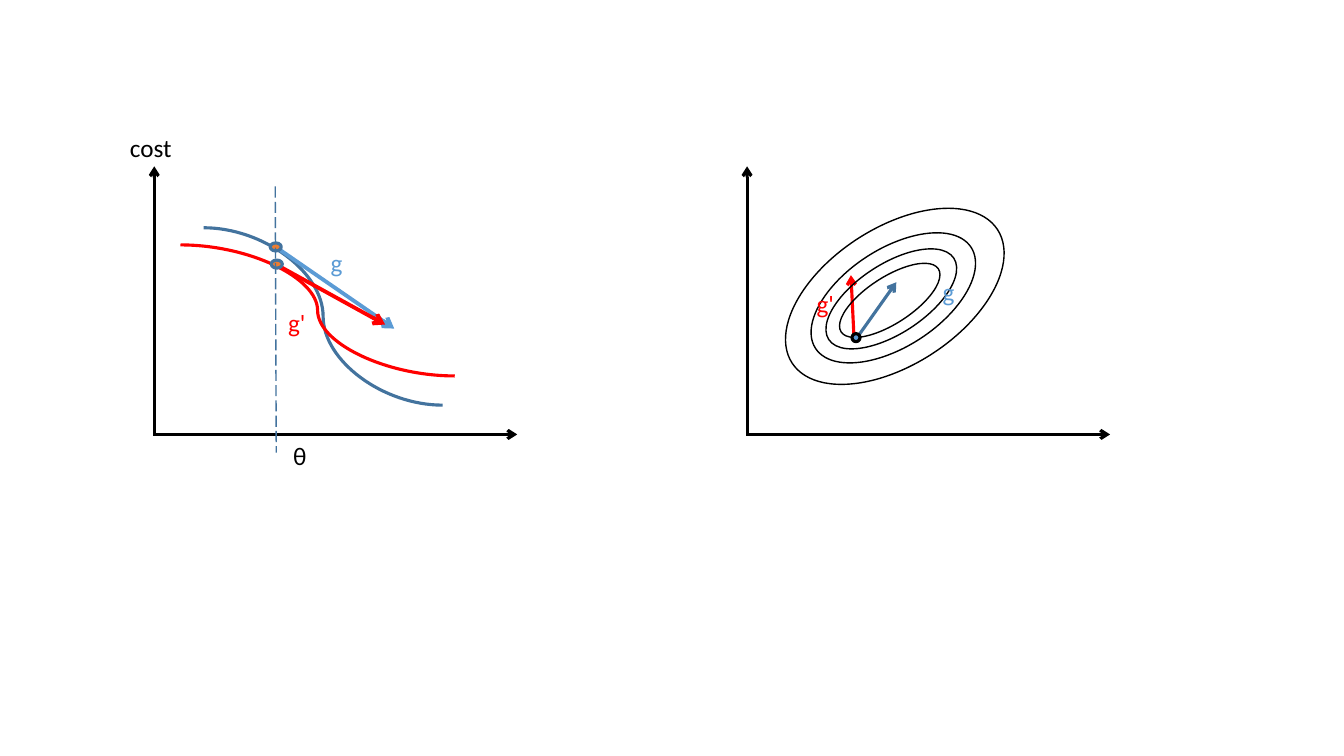
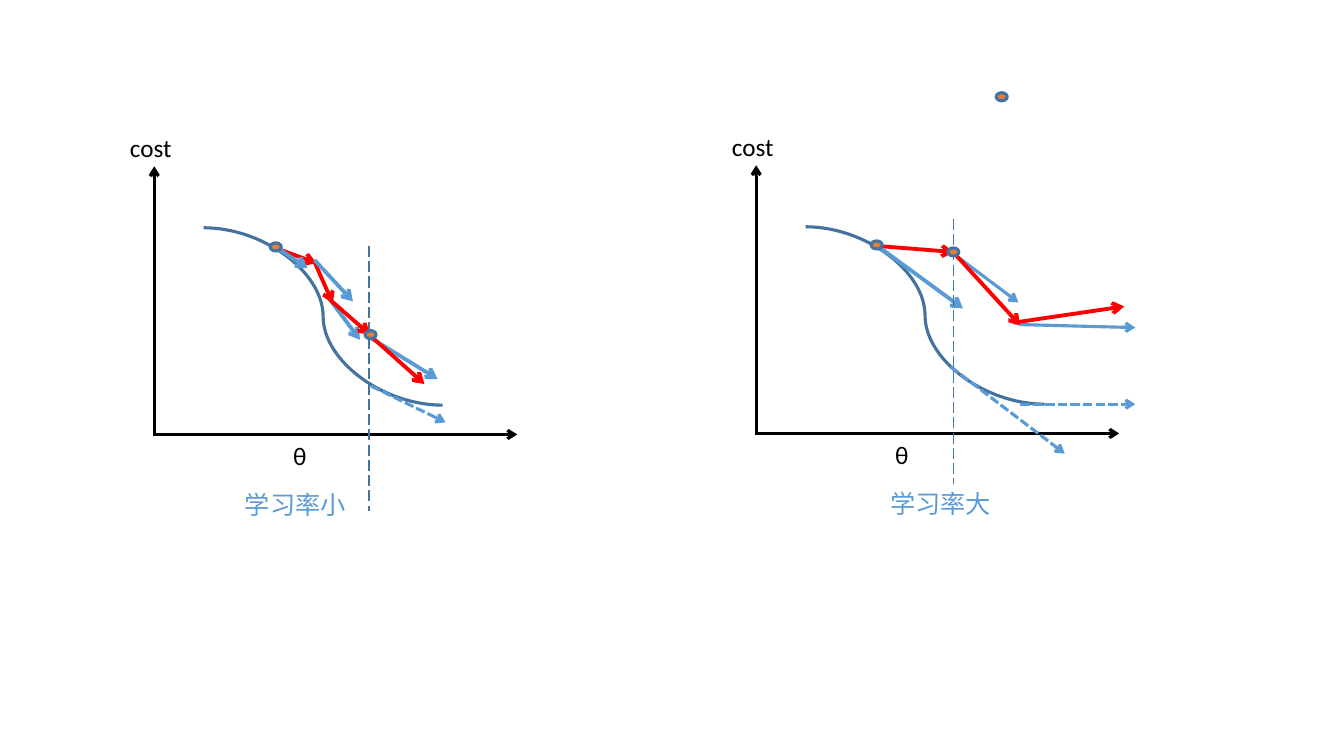
from dataclasses import dataclass
from lxml import etree
from pptx import Presentation
from pptx import util as u
from pptx.dml.color import RGBColor
from pptx.enum import dml, shapes, text
from pptx.oxml.ns import qn


@dataclass(frozen=True)
class Theme:
    black: str = "000000"
    navy: str = "43739E"
    blue: str = "5B9BD5"
    red: str = "FF0000"
    orange: str = "ED7D31"
    font: str = "Calibri"
    size: int = 18


T = Theme()
DASH = dml.MSO_LINE

# Line styles: colour, width, dash, arrowhead
STYLES = {
    "axis": (T.black, 2.25, None, True),
    "curve": (T.navy, 2.25, None, False),
    "red curve": (T.red, 2.25, None, False),
    "guide": (T.navy, 1, DASH.LONG_DASH, False),
    "blue": (T.blue, 2.75, None, True),
    "red": (T.red, 2.75, None, True),
    "thin blue": (T.blue, 2.25, None, True),
    "thin red": (T.red, 2.25, None, True),
    "thin navy": (T.navy, 2.25, None, True),
    "dashed": (T.blue, 2.25, DASH.SQUARE_DOT, True),
}

# Ellipse styles: fill, line colour, line width, rotation
OVALS = {
    "dot": (T.orange, T.navy, 2.25, 0),
    "start": (T.blue, T.black, 2.25, 0),
    "ring": (None, T.black, 1, 327),
}
DOT = (0.11, 0.08)


# Parts shared by the plots, moved by dx and dy
def axes(dx=0, dy=0):
    return [("axis", 1.53 + dx, 4.32 + dy, 1.53 + dx, 1.65 + dy),
            ("axis", 1.52 + dx, 4.31 + dy, 5.13 + dx, 4.31 + dy)]


def plot(dx=0, dy=0):
    return axes(dx, dy) + [
        ("curve", 2.02 + dx, 2.26 + dy, 4.39 + dx, 4.02 + dy),
        ("label", 1.19 + dx, 1.26 + dy, 0.78, "cost", T.black),
        ("label", 2.81 + dx, 4.32 + dy, 0.29, "θ", T.black)]


# Content, from back to front
NOISE = plot() + [
    ("blue", 2.72, 2.44, 3.91, 3.26),
    ("dot", 2.68, 2.41, *DOT),
    ("red", 2.75, 2.63, 3.82, 3.22),
    ("red curve", 1.79, 2.43, 4.51, 3.73),
    ("dot", 2.69, 2.58, *DOT),
    ("guide", 2.73, 1.85, 2.74, 4.49),
    ("label", 3.18, 2.4, 0.32, "g", T.blue),
    ("label", 2.76, 3, 0.5, "g'", T.red),
    ("thin red", 8.47, 3.34, 8.44, 2.73),
] + axes(5.88) + [
    ("ring", 8.25, 2.75, 1.15, 0.46),
    ("ring", 8.1, 2.62, 1.48, 0.69),
    ("ring", 7.94, 2.47, 1.84, 0.97),
    ("ring", 7.66, 2.26, 2.43, 1.36),
    ("thin navy", 8.5, 3.35, 8.89, 2.8),
    ("start", 8.45, 3.31, 0.08, 0.08),
    ("label", 8, 2.81, 0.39, "g'", T.red),
    ("label", 9.25, 2.69, 0.33, "g", T.blue),
]

SMALL = [("red", 2.73, 2.46, 3.14, 2.61)] + plot() + [
    ("blue", 2.72, 2.44, 3.05, 2.66),
    ("dot", 2.68, 2.41, *DOT),
    ("label", 2.33, 4.81, 2.84, "学习率小", T.blue),
    ("red", 3.12, 2.6, 3.3, 3.01),
    ("blue", 3.12, 2.58, 3.5, 2.99),
    ("blue", 3.27, 2.97, 3.57, 3.37),
    ("red", 3.27, 2.97, 3.67, 3.32),
    ("blue", 3.64, 3.33, 4.34, 3.76),
    ("red", 3.66, 3.32, 4.21, 3.81),
    ("dot", 3.62, 3.28, *DOT),
    ("dashed", 3.68, 3.83, 4.42, 4.19),
    ("guide", 3.66, 2.44, 3.66, 5.07),
]

LARGE = [("red", 8.7, 2.44, 9.46, 2.5)] + plot(5.97, -0.01) + [
    ("blue", 8.69, 2.43, 9.55, 3.06),
    ("dot", 8.64, 2.39, *DOT),
    ("dot", 9.88, 0.92, *DOT),
    ("dashed", 10.12, 4.01, 11.26, 4.01),
    ("dashed", 9.43, 3.64, 10.56, 4.5),
    ("thin blue", 9.46, 2.52, 10.1, 3),
    ("guide", 9.46, 2.17, 9.46, 4.8),
    ("red", 9.48, 2.53, 10.12, 3.23),
    ("thin blue", 10.11, 3.22, 11.26, 3.25),
    ("red", 10.06, 3.2, 11.15, 3.04),
    ("dot", 9.4, 2.46, *DOT),
    ("label", 8.73, 4.79, 1.2, "学习率大", T.blue),
]

SLIDES = [NOISE, SMALL + LARGE]


def rgb(code):
    return RGBColor.from_string(code)


def stroke(line, color, width):
    line.color.rgb = rgb(color)
    line.width = u.Pt(width)


def draw_line(slide, style, *ends):
    color, width, dash, arrow = STYLES[style]
    kind = shapes.MSO_CONNECTOR
    link = slide.shapes.add_connector(
        kind.CURVE if "curve" in style else kind.STRAIGHT,
        *map(u.Inches, ends))
    stroke(link.line, color, width)
    if dash:
        link.line.dash_style = dash
    props = link._element.spPr
    if arrow:
        etree.SubElement(props.find(qn("a:ln")), qn("a:tailEnd"), type="arrow")
    etree.SubElement(props, qn("a:effectLst"))


def draw_oval(slide, style, *box):
    fill, color, width, turn = OVALS[style]
    oval = slide.shapes.add_shape(shapes.MSO_SHAPE.OVAL, *map(u.Inches, box))
    oval.shadow.inherit = False
    oval.rotation = turn
    if fill:
        oval.fill.solid()
        oval.fill.fore_color.rgb = rgb(fill)
    else:
        oval.fill.background()
    stroke(oval.line, color, width)


def draw_label(slide, left, top, width, words, color):
    box = slide.shapes.add_textbox(*map(u.Inches, (left, top, width, 0.42)))
    frame = box.text_frame
    frame.word_wrap = True
    frame.auto_size = text.MSO_AUTO_SIZE.SHAPE_TO_FIT_TEXT
    frame.text = words
    font = frame.paragraphs[0].runs[0].font
    font.name, font.size = T.font, u.Pt(T.size)
    font.color.rgb = rgb(color)


def main():
    deck = Presentation()
    deck.slide_width, deck.slide_height = u.Inches(13.33), u.Inches(7.5)
    for parts in SLIDES:
        slide = deck.slides.add_slide(deck.slide_layouts[6])
        for kind, *args in parts:
            if kind == "label":
                draw_label(slide, *args)
            elif kind in OVALS:
                draw_oval(slide, kind, *args)
            else:
                draw_line(slide, kind, *args)
    deck.save("out.pptx")


if __name__ == "__main__":
    main()
